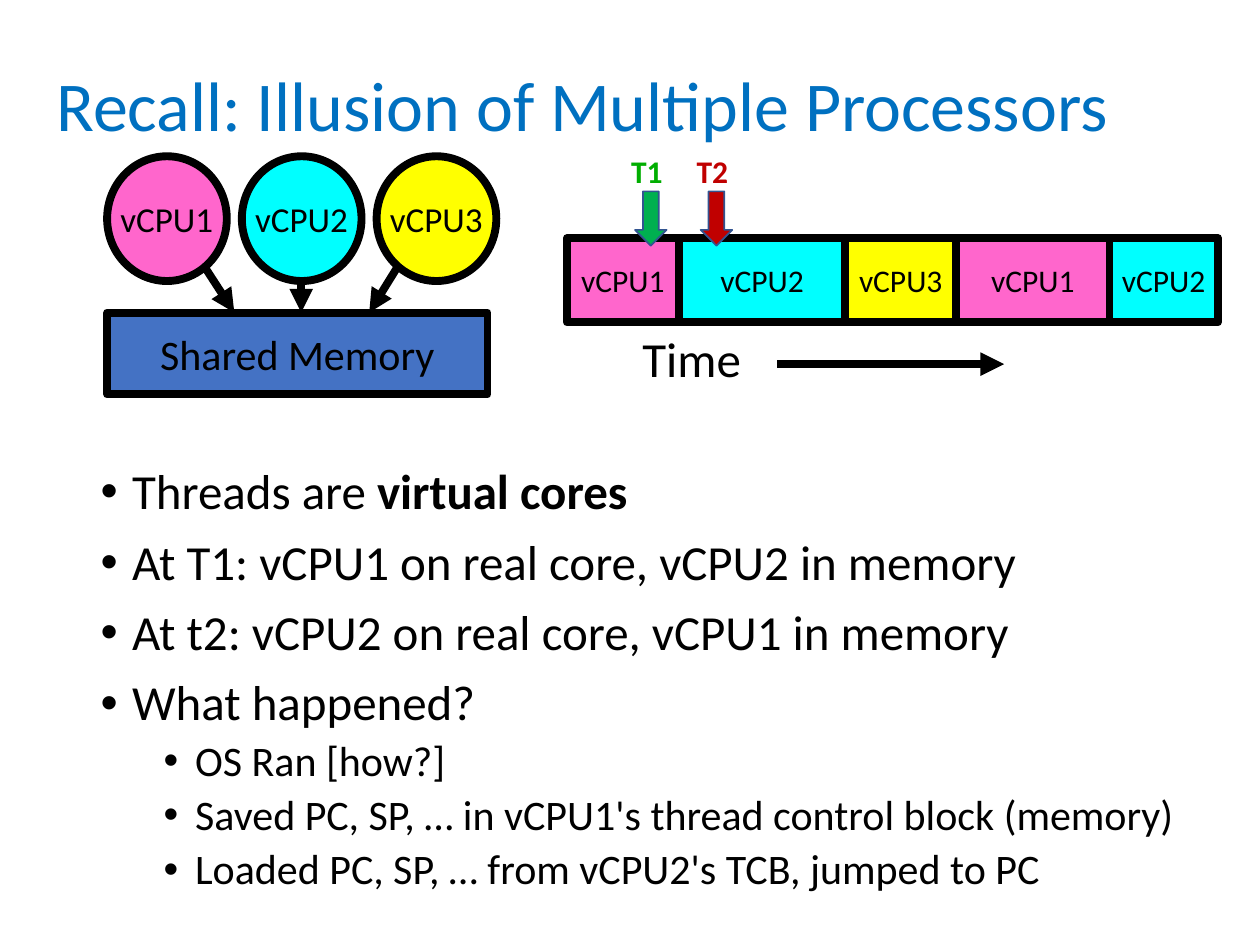
from dataclasses import dataclass

from lxml.etree import SubElement
from pptx import Presentation
from pptx.dml.color import RGBColor
from pptx.enum.shapes import MSO_CONNECTOR, MSO_SHAPE
from pptx.enum.text import MSO_ANCHOR, MSO_AUTO_SIZE, PP_ALIGN
from pptx.oxml.ns import qn
from pptx.util import Pt

FONT = "Calibri"
BLACK, BLUE, GREEN, RED = "000000", "4472C4", "00B050", "C00000"
CPU_FILLS = {"vCPU1": "FF66CC", "vCPU2": "00FFFF", "vCPU3": "FFFF00"}
HEAVY = 4.5


@dataclass
class Box:
    left: float
    top: float
    width: float
    height: float

    def lengths(self):
        return [Pt(n) for n in (self.left, self.top, self.width, self.height)]


@dataclass
class Slot:
    cpu: str
    width: float


@dataclass
class Moment:
    name: str
    left: float
    text_color: str
    arrow_color: str


@dataclass
class Bullet:
    text: str
    level: int = 0
    bold_text: str = ""


SLOTS = [Slot("vCPU1", 64), Slot("vCPU2", 95), Slot("vCPU3", 63.5),
         Slot("vCPU1", 87.5), Slot("vCPU2", 62)]
MOMENTS = [Moment("T1", 353.5, "00AE00", GREEN), Moment("T2", 391, RED, RED)]
BULLETS = [
    Bullet("Threads are ", bold_text="virtual cores"),
    Bullet("At T1: vCPU1 on real core, vCPU2 in memory"),
    Bullet("At t2: vCPU2 on real core, vCPU1 in memory"),
    Bullet("What happened?"),
    Bullet("OS Ran [how?]", 1),
    Bullet("Saved PC, SP, … in vCPU1's thread control block (memory)", 1),
    Bullet("Loaded PC, SP, … from vCPU2's TCB, jumped to PC", 1),
]


def rgb(color: str) -> RGBColor:
    return RGBColor.from_string(color)


def set_font(paragraph, size: float, color: str = BLACK, bold: bool = False):
    font = paragraph.font
    font.name, font.size, font.bold = FONT, Pt(size), bold
    font.color.rgb = rgb(color)


def add_block(slide, kind, box: Box, fill: str, line: str = BLACK,
              line_width: float = HEAVY, text: str = "", size: float = 18):
    block = slide.shapes.add_shape(kind, *box.lengths())
    block.shadow.inherit = False
    block.fill.solid()
    block.fill.fore_color.rgb = rgb(fill)
    block.line.color.rgb = rgb(line)
    block.line.width = Pt(line_width)
    if text:
        frame = block.text_frame
        frame.word_wrap = False
        frame.vertical_anchor = MSO_ANCHOR.MIDDLE
        paragraph = frame.paragraphs[0]
        paragraph.text = text
        paragraph.alignment = PP_ALIGN.CENTER
        set_font(paragraph, size)


def add_arrow(slide, x1: float, y1: float, x2: float, y2: float):
    arrow = slide.shapes.add_connector(
        MSO_CONNECTOR.STRAIGHT, Pt(x1), Pt(y1), Pt(x2), Pt(y2))
    arrow.line.color.rgb = rgb(BLACK)
    arrow.line.width = Pt(HEAVY)
    SubElement(arrow.line._get_or_add_ln(), qn("a:tailEnd"), type="triangle")
    SubElement(arrow._element.spPr, qn("a:effectLst"))


def add_label(slide, box: Box, text: str, size: float, color: str = BLACK,
              bold: bool = False):
    frame = slide.shapes.add_textbox(*box.lengths()).text_frame
    frame.word_wrap = False
    frame.auto_size = MSO_AUTO_SIZE.SHAPE_TO_FIT_TEXT
    frame.paragraphs[0].text = text
    set_font(frame.paragraphs[0], size, color, bold)


def add_title(slide, text: str):
    frame = slide.shapes.add_textbox(*Box(25.2, 31, 620.6, 62.6).lengths()).text_frame
    frame.word_wrap = True
    frame.vertical_anchor = MSO_ANCHOR.MIDDLE
    title = frame.paragraphs[0]
    title.text = text
    title.line_spacing = 0.9
    set_font(title, 40, "0070C0")


def add_bullets(slide, bullets: list[Bullet]):
    frame = slide.shapes.add_textbox(*Box(50.4, 263.5, 646.6, 273.6).lengths()).text_frame
    frame.word_wrap = True
    for index, bullet in enumerate(bullets):
        paragraph = frame.add_paragraph() if index else frame.paragraphs[0]
        paragraph.level = bullet.level
        paragraph.line_spacing = 0.9
        if index:
            paragraph.space_before = Pt(5 if bullet.level else 10)
        properties = paragraph._p.get_or_add_pPr()
        properties.set("marL", str(Pt(18 + 36 * bullet.level)))
        properties.set("indent", str(Pt(-18)))
        SubElement(properties, qn("a:buFont"), typeface="Arial")
        SubElement(properties, qn("a:buChar"), char="•")
        set_font(paragraph, 24 if bullet.level else 28)
        paragraph.add_run().text = bullet.text
        if bullet.bold_text:
            strong = paragraph.add_run()
            strong.text = bullet.bold_text
            strong.font.bold = True


def add_processors(slide):
    """Draw the virtual processors and the memory they share."""
    memory_top = 178.6
    for index, (cpu, fill) in reversed(list(enumerate(CPU_FILLS.items()))):
        add_block(slide, MSO_SHAPE.OVAL, Box(61.2 + 77 * index, 89.3, 68.4, 71.3),
                  fill, text=cpu, size=20)
    add_block(slide, MSO_SHAPE.RECTANGLE, Box(61.2, memory_top, 217.4, 46.8),
              BLUE, text="Shared Memory", size=24)
    for x1, y1, x2 in [(116.6, 152, 133.9), (227.5, 152, 211), (172.1, 160.6, 172.1)]:
        add_arrow(slide, x1, y1, x2, memory_top)


def add_timeline(slide):
    left = 324
    for slot in SLOTS:
        add_block(slide, MSO_SHAPE.RECTANGLE, Box(left, 136.1, slot.width, 48.2),
                  CPU_FILLS[slot.cpu], text=slot.cpu)
        left += slot.width
    add_label(slide, Box(360, 184.3, 80.6, 41), "Time", 28)
    add_arrow(slide, 444.2, 208.1, 573.8, 208.1)
    for moment in MOMENTS:
        add_block(slide, MSO_SHAPE.DOWN_ARROW, Box(moment.left + 9.4, 109.4, 18, 31),
                  moment.arrow_color, "325491", 1)
        add_label(slide, Box(moment.left, 83.5, 37.4, 28.8), moment.name, 18,
                  moment.text_color, True)


def main():
    deck = Presentation()
    deck.slide_width, deck.slide_height = Pt(720), Pt(540)
    slide = deck.slides.add_slide(deck.slide_layouts[6])
    add_title(slide, "Recall: Illusion of Multiple Processors")
    add_bullets(slide, BULLETS)
    add_processors(slide)
    add_timeline(slide)
    deck.save("out.pptx")


if __name__ == "__main__":
    main()
